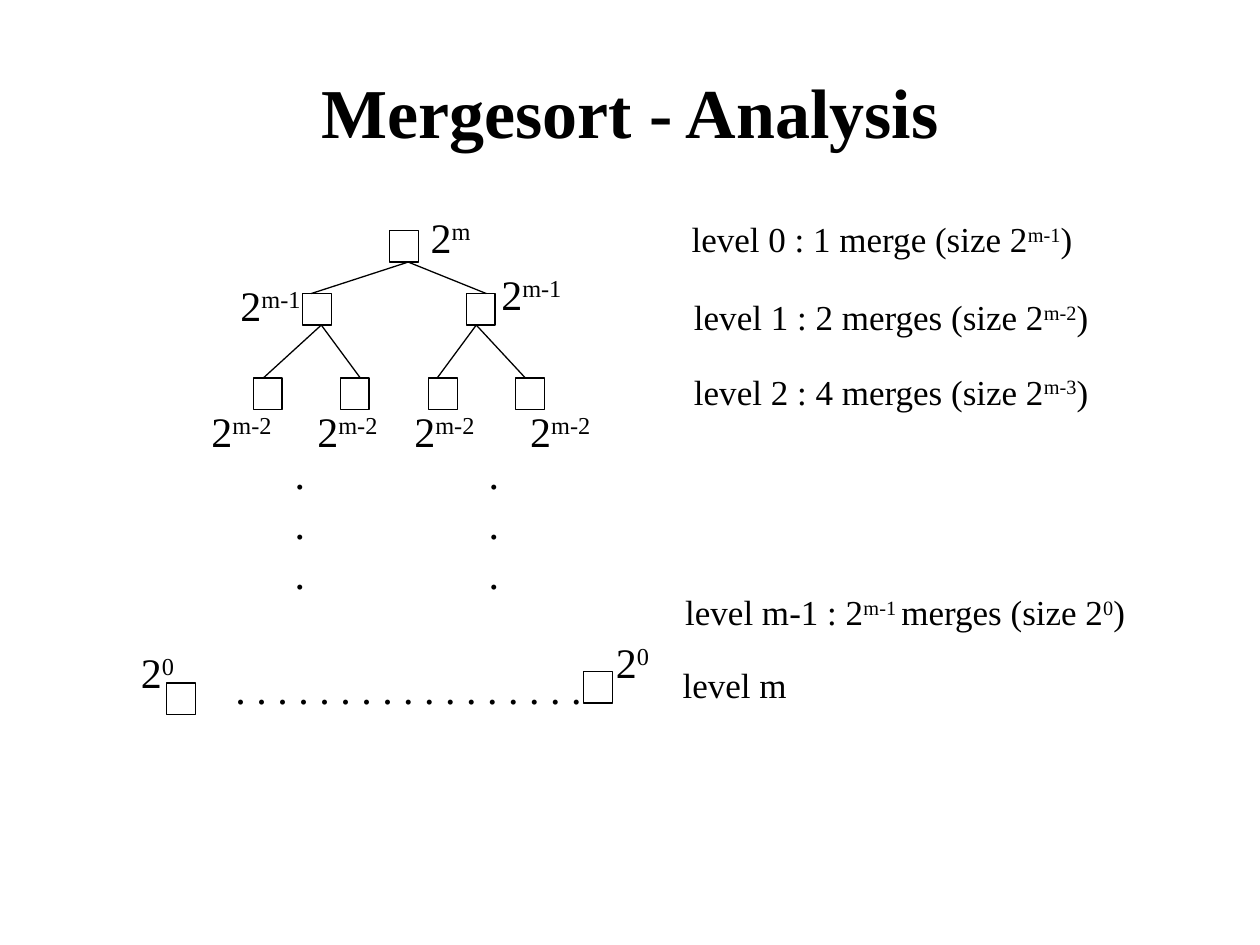
import pptx
import pptx.dml.color
import pptx.enum.shapes
import pptx.enum.text
import pptx.oxml.ns
import pptx.util
from lxml import etree

Inches = pptx.util.Inches

THEME = {
    "font": "Times New Roman",
    "ink": pptx.dml.color.RGBColor(0, 0, 0),
    "paper": pptx.dml.color.RGBColor(255, 255, 255),
    "title": 40, "label": 24, "level": 20,
    "line": 0.75, "raise": "30000",
}
NODE_WIDTH, NODE_HEIGHT = 0.23, 0.25

# Text after each ^ is raised, up to the next ^.
TITLE = ("Mergesort - Analysis", 0.75, 0.42, 8.5, 0.92)

# name: left, top, x where the lines to its children start
NODES = {
    "root": (3.09, 1.83, 3.24),
    "left": (2.4, 2.33, 2.55),
    "right": (3.7, 2.33, 3.78),
    "left-left": (2.01, 3, None),
    "left-right": (2.7, 3, None),
    "right-left": (3.4, 3, None),
    "right-right": (4.09, 3, None),
    "first leaf": (1.32, 5.42, None),
    "last leaf": (4.63, 5.33, None),
}
# parent, child, x where the line meets the child
BRANCHES = [
    ("root", "left", 2.47), ("root", "right", 3.86),
    ("left", "left-left", 2.09), ("left", "left-right", 2.86),
    ("right", "right-left", 3.47), ("right", "right-right", 4.17),
]
# text, left, top, width
LABELS = [
    ("2^m", 3.32, 1.63, 0.52),
    ("2^m-1", 1.81, 2.17, 0.68),
    ("2^m-1", 3.88, 2.08, 0.68),
    *(("2^m-2", left, 3.17, 0.68) for left in (1.58, 2.42, 3.19, 4.11)),
    ("2^0", 1.02, 5.08, 0.46),
    ("2^0", 4.79, 5, 0.46),
    (" ".join("." * 17), 1.77, 5.21, 2.95),
]
LEVELS = [
    ("level 0 : 1 merge (size 2^m-1^)", 5.39, 1.68, 3.29),
    ("level 1 : 2 merges (size 2^m-2^)", 5.41, 2.3, 3.4),
    ("level 2 : 4 merges (size 2^m-3^)", 5.41, 2.89, 3.4),
    ("level m-1 : 2^m-1 ^merges (size 2^0^)", 5.34, 4.64, 3.76),
    ("level m", 5.32, 5.22, 1.03),
]
ELLIPSES = [(["."] * 3, left, 3.5, 0.28) for left in (2.24, 3.78)]


def add_text(page, lines, left, top, width, height, size):
    """Add a text box; in each line, odd pieces between ^ marks are raised."""
    box = page.shapes.add_textbox(Inches(left), Inches(top), Inches(width), Inches(height))
    frame = box.text_frame
    frame.word_wrap = False
    frame.auto_size = pptx.enum.text.MSO_AUTO_SIZE.SHAPE_TO_FIT_TEXT
    for index, line in enumerate(lines):
        para = frame.paragraphs[0] if index == 0 else frame.add_paragraph()
        for position, piece in enumerate(line.split("^")):
            if not piece:
                continue
            span = para.add_run()
            span.text = piece
            span.font.name = THEME["font"]
            span.font.size = pptx.util.Pt(size)
            span.font.color.rgb = THEME["ink"]
            if position % 2:
                span.font._element.set("baseline", THEME["raise"])
    return frame


def add_title(page):
    text, *place = TITLE
    frame = add_text(page, [text], *place, THEME["title"])
    frame.word_wrap = True
    frame.auto_size = pptx.enum.text.MSO_AUTO_SIZE.NONE
    frame.vertical_anchor = pptx.enum.text.MSO_ANCHOR.MIDDLE
    frame.paragraphs[0].alignment = pptx.enum.text.PP_ALIGN.CENTER
    frame.paragraphs[0].runs[0].font.bold = True


def style_line(line):
    line.color.rgb = THEME["ink"]
    line.width = pptx.util.Pt(THEME["line"])


def add_node(page, left, top):
    node = page.shapes.add_shape(
        pptx.enum.shapes.MSO_SHAPE.RECTANGLE,
        Inches(left), Inches(top), Inches(NODE_WIDTH), Inches(NODE_HEIGHT))
    node.shadow.inherit = False
    node.fill.solid()
    node.fill.fore_color.rgb = THEME["paper"]
    style_line(node.line)


def add_branch(page, parent, child, end_x):
    _, parent_top, start_x = NODES[parent]
    child_top = NODES[child][1]
    branch = page.shapes.add_connector(
        pptx.enum.shapes.MSO_CONNECTOR.STRAIGHT,
        Inches(start_x), Inches(parent_top + NODE_HEIGHT), Inches(end_x), Inches(child_top))
    style_line(branch.line)
    etree.SubElement(branch._element.spPr, pptx.oxml.ns.qn("a:effectLst"))


def main():
    deck = pptx.Presentation()
    deck.slide_width, deck.slide_height = Inches(10), Inches(7.5)
    page = deck.slides.add_slide(deck.slide_layouts[6])
    add_title(page)
    for left, top, _ in NODES.values():
        add_node(page, left, top)
    for branch in BRANCHES:
        add_branch(page, *branch)
    for lines, *place in ELLIPSES:
        add_text(page, lines, *place, 1.3, THEME["label"])
    for group, height, size in ((LABELS, 0.5, "label"), (LEVELS, 0.44, "level")):
        for text, *place in group:
            add_text(page, [text], *place, height, THEME[size])
    deck.save("out.pptx")


if __name__ == "__main__":
    main()
